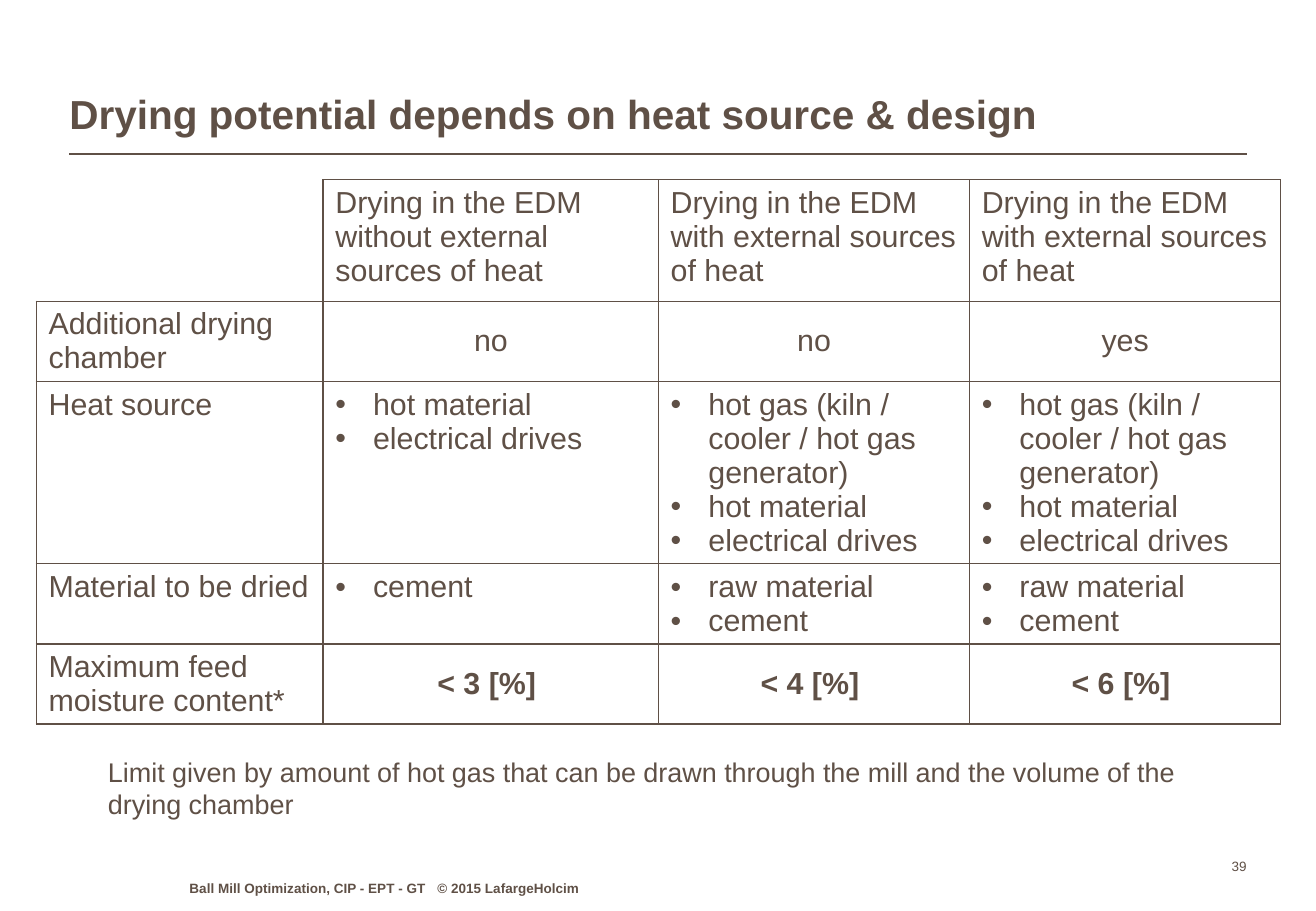
from dataclasses import dataclass
from typing import Any

from lxml.etree import SubElement
from pptx import Presentation
from pptx.dml.color import RGBColor
from pptx.enum.text import MSO_ANCHOR, MSO_AUTO_SIZE, PP_ALIGN
from pptx.oxml.ns import qn
from pptx.util import Inches, Pt

HUES = {"ink": "5F5046", "paper": "FFFFFF"}
WIDTHS = (2.36, 2.76, 2.56, 2.56)
HEIGHTS = (1, 0.66, 1.5, 0.66, 0.66)
DRIVES = ("hot material", "electrical drives")
GAS = ("hot gas (kiln / cooler / hot gas generator)", *DRIVES)
RAW = ("raw material", "cement")
OUTER = "Drying in the EDM with external sources of heat"


@dataclass
class Row:
    """One table row: its cells and how the value cells look."""
    cells: tuple[tuple[str, ...], ...]
    mid: bool = False
    bold: bool = False
    list: bool = False


@dataclass
class Label:
    """One text box with its place, format and lines."""
    box: tuple[float, float, float, float]
    lines: tuple[str, ...]
    size: float
    bold: bool = False
    align: PP_ALIGN = PP_ALIGN.LEFT
    low: bool = True
    tab: float = 0


ROWS = (
    Row(((), ("Drying in the EDM without external sources of heat",), (OUTER,), (OUTER,))),
    Row((("Additional drying chamber",), ("no",), ("no",), ("yes",)), mid=True),
    Row((("Heat source",), DRIVES, GAS, GAS), list=True),
    Row((("Material to be dried",), ("cement",), RAW, RAW), list=True),
    Row((("Maximum feed moisture content*",), ("< 3 [%] ",), ("< 4 [%] ",), ("< 6 [%] ",)),
        mid=True, bold=True),
)
LABELS = (
    Label((0.79, 6.17, 9.45, 0.88),
          ("Limit given by amount of hot gas that can be drawn through the mill and the volume of the",
           "drying chamber"), 16, low=False),
    Label((1.56, 7.25, 3.86, 0.13),
          ("Ball Mill Optimization, CIP - EPT - GT\t© 2015 LafargeHolcim",), 8, bold=True, tab=2.04),
    Label((9.79, 7.02, 0.47, 0.18), ("39",), 8, align=PP_ALIGN.RIGHT),
)


def apply(item: Any, **look: Any) -> None:
    """Set each named attribute on the item."""
    for name, value in look.items():
        setattr(item, name, value)


def hue(name: str) -> RGBColor:
    """Return a named colour."""
    return RGBColor.from_string(HUES[name])


def paint(parent: Any) -> None:
    """Add a solid ink fill to an XML element."""
    fill = SubElement(parent, qn("a:solidFill"))
    SubElement(fill, qn("a:srgbClr"), val=HUES["ink"])


def mark(para: Any) -> None:
    """Give a paragraph a hanging round bullet."""
    props = para._p.get_or_add_pPr()
    props.set("marL", str(Inches(0.31)))
    props.set("indent", str(Inches(-0.31)))
    tint = SubElement(props, qn("a:buClr"))
    SubElement(tint, qn("a:srgbClr"), val=HUES["ink"])
    SubElement(props, qn("a:buFont"), typeface="Arial")
    SubElement(props, qn("a:buChar"), char="•")


def write(frame: Any, lines: tuple[str, ...], size: float, bold: bool = False,
          align: PP_ALIGN = PP_ALIGN.LEFT, dots: bool = False, tab: float = 0) -> None:
    """Fill a text frame with formatted paragraphs."""
    for num, line in enumerate(lines):
        para = frame.add_paragraph() if num else frame.paragraphs[0]
        para.alignment = align
        if dots:
            mark(para)
        if tab:
            tabs = SubElement(para._p.get_or_add_pPr(), qn("a:tabLst"))
            SubElement(tabs, qn("a:tab"), pos=str(Inches(tab)), algn="l")
        run = para.add_run()
        run.text = line
        apply(run.font, name="Arial", size=Pt(size), bold=bold)
        run.font.color.rgb = hue("ink")


def edge(cell: Any, sides: str) -> None:
    """Draw one-point borders on the given sides of a cell."""
    props = cell._tc.get_or_add_tcPr()
    for side in sides:
        paint(SubElement(props, qn(f"a:ln{side}"), w=str(Pt(1))))


def grid(slide: Any) -> None:
    """Add the drying table."""
    table = slide.shapes.add_table(
        len(ROWS), len(WIDTHS), Inches(0.3), Inches(1.48),
        Inches(sum(WIDTHS)), Inches(sum(HEIGHTS))).table
    apply(table, first_row=False, horz_banding=False)
    for col, width in zip(table.columns, WIDTHS):
        col.width = Inches(width)
    for y, (row, height) in enumerate(zip(ROWS, HEIGHTS)):
        table.rows[y].height = Inches(height)
        for x, lines in enumerate(row.cells):
            cell = table.cell(y, x)
            edge(cell, "LRTB" if lines else "RB")
            cell.fill.solid()
            cell.fill.fore_color.rgb = hue("paper")
            mid = row.mid and x > 0
            cell.vertical_anchor = MSO_ANCHOR.MIDDLE if mid else MSO_ANCHOR.TOP
            write(cell.text_frame, lines, 18, row.bold and x > 0,
                  PP_ALIGN.CENTER if mid else PP_ALIGN.LEFT, row.list and x > 0)


def place(shape: Any, box: tuple[float, float, float, float]) -> None:
    """Move and size a shape."""
    apply(shape, **dict(zip(("left", "top", "width", "height"), map(Inches, box))))


def snug(frame: Any) -> None:
    """Anchor a frame at the bottom without margins."""
    apply(frame, vertical_anchor=MSO_ANCHOR.BOTTOM, margin_left=0, margin_right=0,
          margin_top=0, margin_bottom=0)


def head(slide: Any) -> None:
    """Add the title and the rule under it."""
    title = slide.shapes.title
    place(title, (0.57, 0.21, 9.69, 0.93))
    frame = title.text_frame
    apply(frame, word_wrap=True, auto_size=MSO_AUTO_SIZE.NONE)
    snug(frame)
    write(frame, ("Drying potential depends on heat source & design",), 24, True)
    frame.paragraphs[0].line_spacing = 0.95
    rule = slide.shapes.add_connector(1, Inches(0.57), Inches(1.27), Inches(10.26), Inches(1.27))
    rule.line.width = Pt(1)
    rule.line.color.rgb = hue("ink")
    SubElement(rule._element.spPr, qn("a:effectLst"))


def note(slide: Any, label: Label) -> None:
    """Add one text box."""
    box = slide.shapes.add_textbox(*map(Inches, label.box))
    frame = box.text_frame
    frame.word_wrap = True
    if label.low:
        snug(frame)
    write(frame, label.lines, label.size, label.bold, label.align, tab=label.tab)


def main() -> None:
    """Build and save the slide."""
    deck = Presentation()
    apply(deck, slide_width=Inches(10.83), slide_height=Inches(7.5))
    slide = deck.slides.add_slide(deck.slide_layouts[5])
    head(slide)
    grid(slide)
    for label in LABELS:
        note(slide, label)
    deck.save("out.pptx")


if __name__ == "__main__":
    main()
